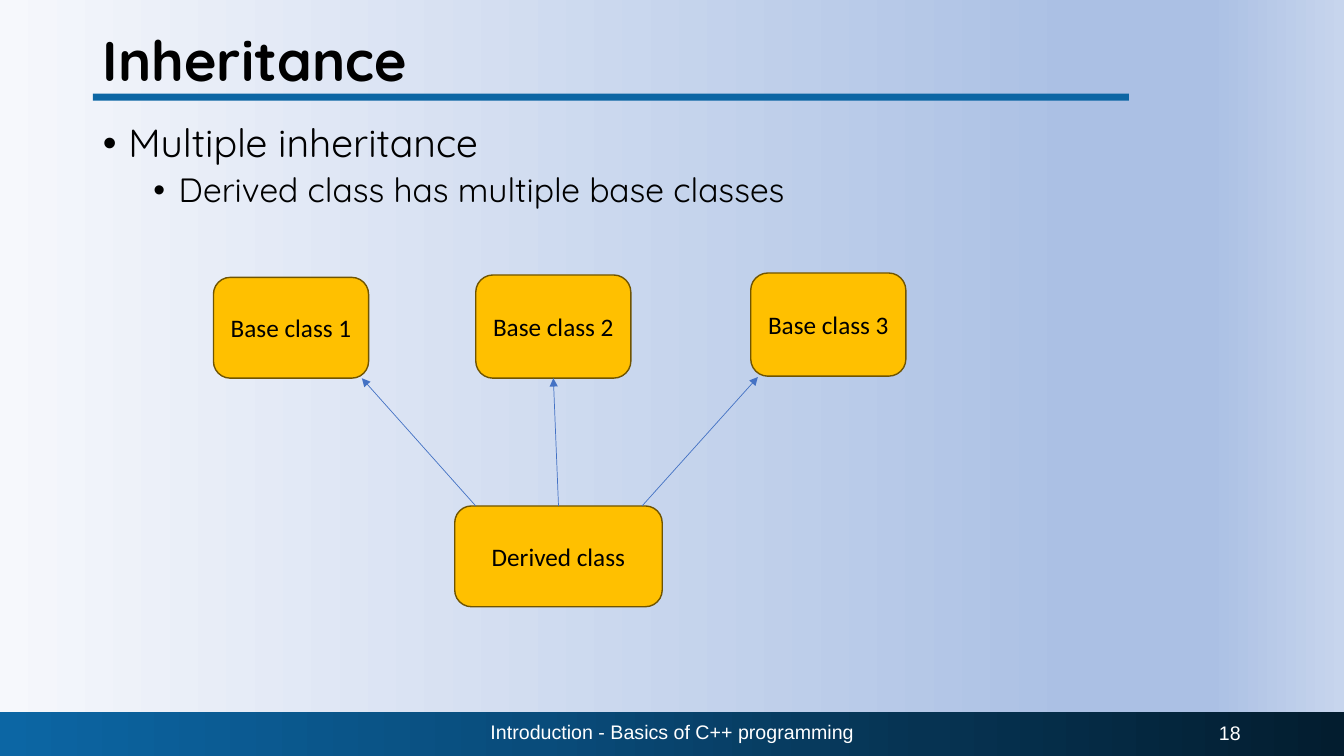
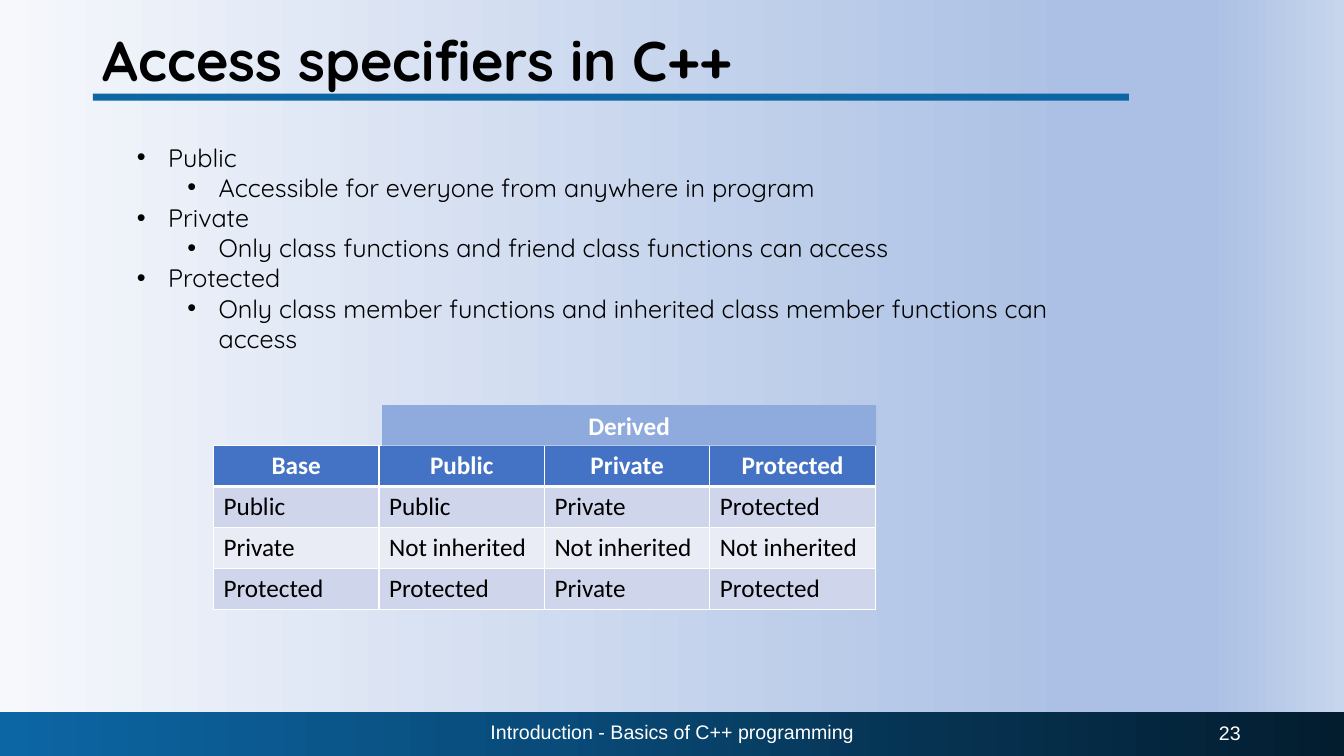
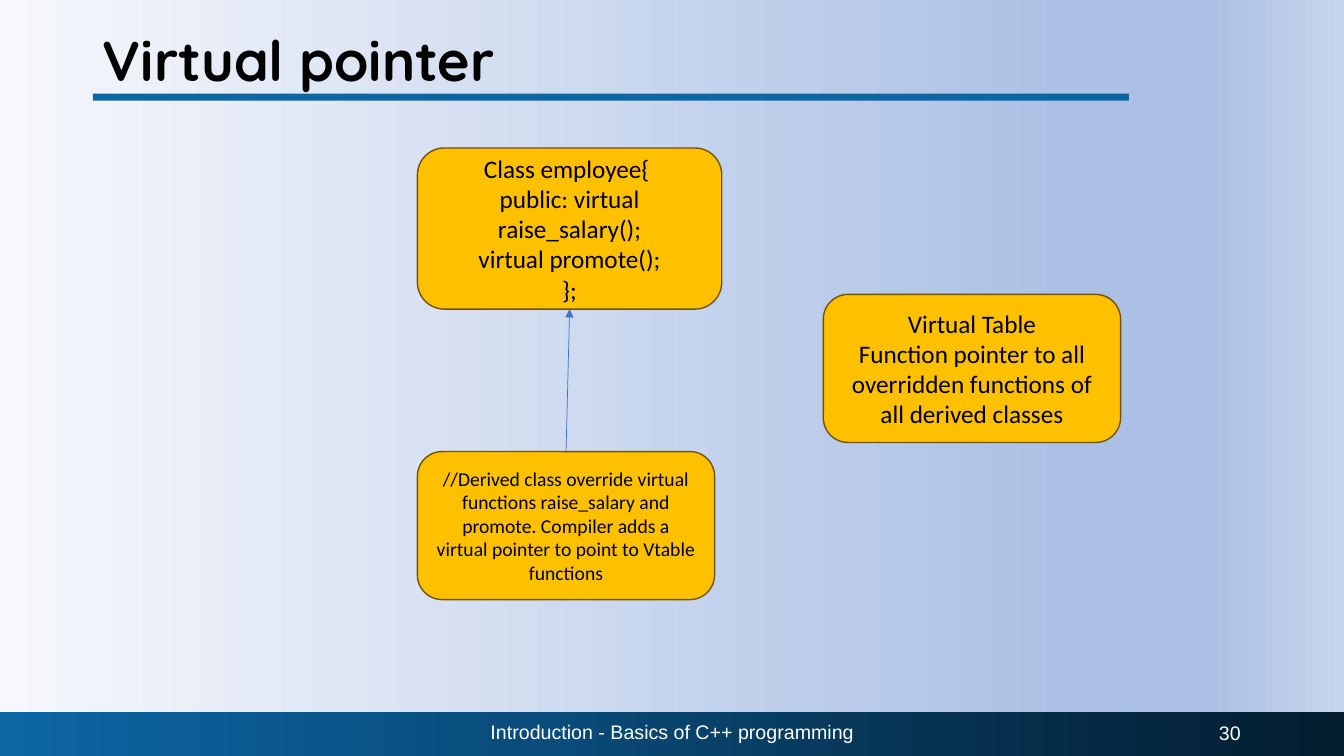
from dataclasses import dataclass

from lxml import etree
from pptx import Presentation
from pptx.dml.color import RGBColor
from pptx.enum import shapes, text
from pptx.oxml import ns
from pptx.util import Cm, Pt


@dataclass(frozen=True)
class Theme:
    ink: str = "000000"
    paper: str = "FFFFFF"
    rule: str = "0C66A4"
    box: str = "FFC000"
    box_edge: str = "705400"
    arrow: str = "4472C4"
    header: str = "4472C4"
    group_header: str = "8FAADC"
    odd_row: str = "CFD5EA"
    even_row: str = "E9EBF5"
    background: tuple = ((0, "F6F8FC"), (80, "ABC0E4"), (90, "ABC0E4"), (100, "C7D5ED"))
    band: tuple = ((0, "0C66A4"), (40, "094C7B"), (69, "063352"), (100, "031D2F"))
    heading_font: str = "Quicksand"
    box_font: str = "Calibri"
    footer_font: str = "Arial"
    title: int = 40
    list_top: int = 28
    list_sub: int = 24
    regular: int = 18
    small: int = 14


theme = Theme()
CENTER = text.PP_ALIGN.CENTER
LEFT = text.PP_ALIGN.LEFT
RIGHT = text.PP_ALIGN.RIGHT
MIDDLE = text.MSO_ANCHOR.MIDDLE
TOP = text.MSO_ANCHOR.TOP


def write(frame, lines, name, size, color=theme.ink, bold=False, align=CENTER, anchor=MIDDLE):
    frame.word_wrap = True
    frame.vertical_anchor = anchor
    for index, line in enumerate(lines):
        paragraph = frame.add_paragraph() if index else frame.paragraphs[0]
        paragraph.alignment = align
        run = paragraph.add_run()
        run.text = line
        for key, value in {"name": name, "size": Pt(size), "bold": bold}.items():
            setattr(run.font, key, value)
        run.font.color.rgb = RGBColor.from_string(color)


def add_bullets(frame, levels, hang):
    for paragraph, level in zip(frame.paragraphs, levels):
        paragraph.level = level
        properties = paragraph._p.get_or_add_pPr()
        properties.set("marL", str(Cm(hang + 1.27 * level)))
        properties.set("indent", str(-Cm(hang)))
        etree.SubElement(properties, ns.qn("a:buFont"), typeface="Arial")
        etree.SubElement(properties, ns.qn("a:buChar"), char="•")


presentation = Presentation()
presentation.slide_width = Cm(33.87)
presentation.slide_height = Cm(19.05)
master = presentation.slide_master

for placeholder, (left, top, width, height) in zip(
    master.placeholders, [(2.34, 0.3, 29.21, 2.57), (2.34, 3, 29.21, 14.33)]
):
    placeholder.left, placeholder.top = Cm(left), Cm(top)
    placeholder.width, placeholder.height = Cm(width), Cm(height)

slides = {}
for heading, number, layout_index in [
    ("Inheritance", 18, 1),
    ("Access specifiers in C++", 23, 5),
    ("Virtual pointer", 30, 5),
]:
    slide = presentation.slides.add_slide(presentation.slide_layouts[layout_index])
    slides[heading] = slide
    write(slide.shapes.title.text_frame, [heading], theme.heading_font, theme.title, bold=True, align=LEFT)
    slide.shapes.title.text_frame.paragraphs[0].line_spacing = 0.9
    for line, left, top, width, align in [
        ("Introduction - Basics of C++ programming", 11.23, 17.93, 11.43, CENTER),
        (str(number), 23.9, 17.96, 7.62, RIGHT),
    ]:
        footer = slide.shapes.add_textbox(Cm(left), Cm(top), Cm(width), Cm(1.02))
        write(footer.text_frame, [line], theme.footer_font, theme.small, theme.paper, align=align)

inheritance, access, pointer = slides.values()

rectangle = shapes.MSO_SHAPE.RECTANGLE
band = inheritance.shapes.add_shape(rectangle, 0, Cm(17.93), Cm(33.87), Cm(1.12))
rule = inheritance.shapes.add_shape(rectangle, Cm(2.34), Cm(2.36), Cm(26.11), Cm(0.18))
rule.fill.solid()
rule.fill.fore_color.rgb = RGBColor.from_string(theme.rule)

for owner, fill, stops in [
    (master, master.background.fill, theme.background),
    (band, band.fill, theme.band),
]:
    fill.gradient()
    fill.gradient_angle = 0
    stop_list = owner.element.find(".//" + ns.qn("a:gsLst"))
    for stop in list(stop_list):
        stop_list.remove(stop)
    for position, color in stops:
        stop = etree.SubElement(stop_list, ns.qn("a:gs"), pos=str(position * 1000))
        etree.SubElement(stop, ns.qn("a:srgbClr"), val=color)

for index, shape in enumerate([band, rule]):
    shape.shadow.inherit = False
    shape.line.fill.background()
    shape.element.nvSpPr.cNvPr.set("id", str(101 + index))
    master.shapes.element.insert(2 + index, shape.element)

body = inheritance.placeholders[1].text_frame
write(
    body,
    ["Multiple inheritance", "Derived class has multiple base classes"],
    theme.heading_font, theme.list_top, align=LEFT, anchor=TOP,
)
for paragraph, size, space in zip(body.paragraphs, [theme.list_top, theme.list_sub], [10, 5]):
    paragraph.runs[0].font.size = Pt(size)
    paragraph.line_spacing = 0.9
    paragraph.space_before = Pt(space)
add_bullets(body, [0, 1], 0.64)

boxes = {}
for key, slide, left, top, width, height, size, lines in [
    ("base 1", inheritance, 5.38, 6.99, 3.91, 2.54, theme.regular, ["Base class 1"]),
    ("base 2", inheritance, 11.99, 6.93, 3.91, 2.6, theme.regular, ["Base class 2"]),
    ("base 3", inheritance, 18.92, 6.88, 3.91, 2.6, theme.regular, ["Base class 3"]),
    ("derived", inheritance, 11.46, 12.75, 5.23, 2.54, theme.regular, ["Derived class"]),
    ("employee", pointer, 10.52, 3.73, 7.67, 4.06, theme.regular,
     ["Class employee{ ", "public: virtual raise_salary();", "virtual promote();", "};"]),
    ("override", pointer, 10.52, 11.38, 7.49, 3.73, theme.small,
     ["//Derived class override virtual functions raise_salary and promote. "
      "Compiler adds a virtual pointer to point to Vtable functions"]),
    ("virtual table", pointer, 20.75, 7.42, 7.49, 3.73, theme.regular,
     ["Virtual Table", "Function pointer to all overridden functions of all derived classes"]),
]:
    box = slide.shapes.add_shape(
        shapes.MSO_SHAPE.ROUNDED_RECTANGLE, Cm(left), Cm(top), Cm(width), Cm(height)
    )
    box.shadow.inherit = False
    box.fill.solid()
    box.fill.fore_color.rgb = RGBColor.from_string(theme.box)
    box.line.color.rgb = RGBColor.from_string(theme.box_edge)
    box.line.width = Pt(1)
    write(box.text_frame, lines, theme.box_font, size)
    boxes[key] = box

for slide, start, end, child, parent in [
    (inheritance, (11.99, 12.75), (9.12, 9.53), None, None),
    (inheritance, (14.07, 12.75), (13.95, 9.53), "derived", "base 2"),
    (inheritance, (16.18, 12.75), (19.1, 9.5), None, None),
    (pointer, (14.27, 11.38), (14.27, 7.79), "override", "employee"),
]:
    arrow = slide.shapes.add_connector(
        shapes.MSO_CONNECTOR.STRAIGHT, *[Cm(value) for value in start + end]
    )
    if child:
        arrow.begin_connect(boxes[child], 0)
        arrow.end_connect(boxes[parent], 2)
    arrow.line.color.rgb = RGBColor.from_string(theme.arrow)
    arrow.line.width = Pt(0.5)
    etree.SubElement(arrow.line._get_or_add_ln(), ns.qn("a:tailEnd"), type="triangle")
    etree.SubElement(arrow.element.spPr, ns.qn("a:effectLst"))

rows = [
    ["Base", "Public", "Private", "Protected"],
    ["Public", "Public", "Private", "Protected"],
    ["Private", "Not inherited", "Not inherited", "Not inherited"],
    ["Protected", "Protected", "Private", "Protected"],
]
row_fills = [theme.header, theme.odd_row, theme.even_row, theme.odd_row]
table = access.shapes.add_table(4, 4, Cm(5.38), Cm(11.23), Cm(16.68), Cm(4.12)).table
for row_index, (row, color) in enumerate(zip(rows, row_fills)):
    is_header = row_index == 0
    for column_index, label in enumerate(row):
        cell = table.cell(row_index, column_index)
        properties = cell._tc.get_or_add_tcPr()
        for side in "LRTB":
            thick = (is_header and side == "B") or (row_index == 1 and side == "T")
            border = etree.SubElement(properties, ns.qn("a:ln" + side), w=str(Pt(3 if thick else 1)))
            border_fill = etree.SubElement(border, ns.qn("a:solidFill"))
            etree.SubElement(border_fill, ns.qn("a:srgbClr"), val=theme.paper)
        cell.fill.solid()
        cell.fill.fore_color.rgb = RGBColor.from_string(color)
        write(
            cell.text_frame, [label], theme.box_font, theme.regular,
            color=theme.paper if is_header else theme.ink,
            bold=is_header, align=CENTER if is_header else LEFT, anchor=TOP,
        )

specifiers = access.shapes.add_textbox(Cm(3.2), Cm(3.45), Cm(24.51), Cm(7.95)).text_frame
write(
    specifiers,
    [
        "Public",
        "Accessible for everyone from anywhere in program",
        "Private",
        "Only class functions and friend class functions can access",
        "Protected",
        "Only class member functions and inherited class member functions can access",
    ],
    theme.heading_font, theme.regular, align=LEFT, anchor=TOP,
)
add_bullets(specifiers, [0, 1] * 3, 0.79)

group_header = access.shapes.add_shape(rectangle, Cm(9.63), Cm(10.21), Cm(12.45), Cm(1.02))
group_header.shadow.inherit = False
group_header.fill.solid()
group_header.fill.fore_color.rgb = RGBColor.from_string(theme.group_header)
group_header.line.fill.background()
write(group_header.text_frame, ["Derived"], theme.box_font, theme.regular, theme.paper, bold=True)

presentation.save("out.pptx")
